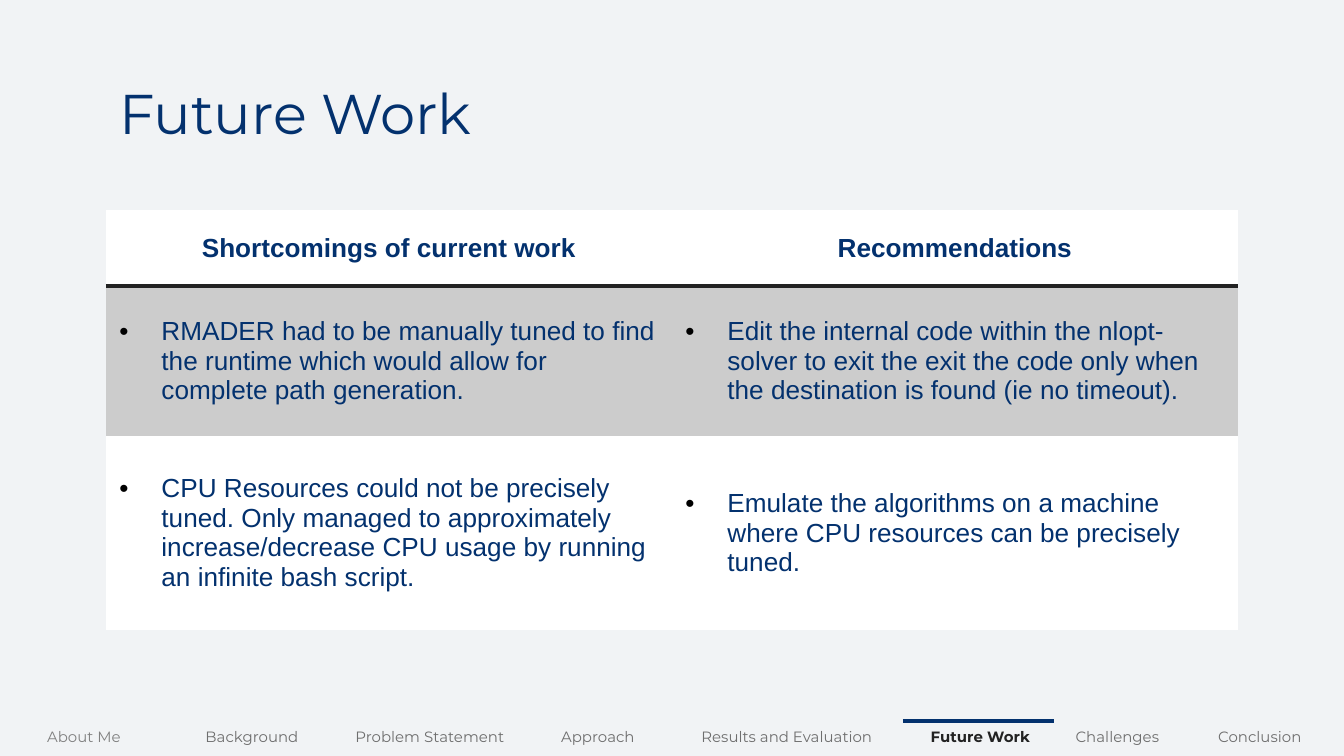
from dataclasses import dataclass
from lxml.etree import SubElement
from pptx import Presentation
from pptx.dml.color import RGBColor
from pptx.enum.shapes import MSO_CONNECTOR
from pptx.enum.text import MSO_ANCHOR, MSO_AUTO_SIZE, PP_ALIGN
from pptx.oxml.ns import qn
from pptx.slide import Slide
from pptx.table import Table, _Cell
from pptx.text.text import Font
from pptx.util import Emu, Pt

SCALE = 914400 / 134.4
PAPER = RGBColor(0xF1, 0xF3, 0xF5)
NAVY = RGBColor(0x03, 0x31, 0x6E)
WHITE = RGBColor(0xFF, 0xFF, 0xFF)
BAND = RGBColor(0xCC, 0xCC, 0xCC)
INK = RGBColor(0x22, 0x22, 0x22)
GRAY = RGBColor(0x6E, 0x6E, 0x6E)
PALE = RGBColor(0x80, 0x80, 0x80)
BLACK = RGBColor(0x00, 0x00, 0x00)
PLAIN = "{2D5ABB26-0587-4C30-8999-92F81FD0307C}"


@dataclass
class Tab:
    """One entry of the navigation bar."""
    text: str
    width: int
    color: RGBColor = GRAY
    bold: bool = False


@dataclass
class Row:
    """One row of the comparison table."""
    height: int
    fill: RGBColor
    texts: tuple[str, str]
    head: bool = False


TABS = [
    Tab("About Me", 168, PALE),
    Tab("Background", 168),
    Tab("Problem Statement", 188),
    Tab("Approach", 148),
    Tab("Results and Evaluation", 230),
    Tab("Future Work", 157, INK, True),
    Tab("Challenges", 117),
    Tab("Conclusion", 168),
]
ROWS = [
    Row(76, WHITE, ("Shortcomings of current work", "Recommendations"), True),
    Row(150, BAND, (
        "RMADER had to be manually tuned to find the runtime which would "
        "allow for complete path generation.",
        "Edit the internal code within the nlopt-solver to exit the exit the "
        "code only when the destination is found (ie no timeout).")),
    Row(194, WHITE, (
        "CPU Resources could not be precisely tuned. Only managed to "
        "approximately increase/decrease CPU usage by running an infinite "
        "bash script.",
        "Emulate the algorithms on a machine where CPU resources can be "
        "precisely tuned.")),
]


def px(size: int) -> Emu:
    """Turn pixels into EMU."""
    return Emu(round(size * SCALE))


def style(font: Font, name: str, size: int, color: RGBColor, bold: bool = False) -> None:
    """Set the look of a font."""
    font.name, font.size, font.bold = name, Pt(size), bold
    font.color.rgb = color


def grid(slide: Slide, left: int, top: int, cols: list[int], rows: list[int]) -> Table:
    """Add a table without borders or bands."""
    frame = slide.shapes.add_table(len(rows), len(cols), px(left), px(top),
                                   px(sum(cols)), px(sum(rows)))
    table = frame.table
    table.first_row = table.horz_banding = False
    next(frame.element.iter(qn("a:tableStyleId"))).text = PLAIN
    for col, width in zip(table.columns, cols):
        col.width = px(width)
    for row, height in zip(table.rows, rows):
        row.height = px(height)
    return table


def write(cell: _Cell, text: str, name: str, size: int, color: RGBColor, bold: bool) -> None:
    """Put centred text in a cell."""
    cell.text_frame.text = text
    para = cell.text_frame.paragraphs[0]
    para.alignment = PP_ALIGN.CENTER
    style(para.runs[0].font, name, size, color, bold)


def rule(cell: _Cell) -> None:
    """Draw the bottom border of a head cell."""
    line = SubElement(cell._tc.get_or_add_tcPr(), qn("a:lnB"), w=str(Pt(2)))
    fill = SubElement(line, qn("a:solidFill"))
    SubElement(fill, qn("a:srgbClr"), val=str(INK))


def bullet(cell: _Cell) -> None:
    """Turn the text of a cell into a left-aligned bullet."""
    para = cell.text_frame.paragraphs[0]
    para.alignment = PP_ALIGN.LEFT
    props = para._p.get_or_add_pPr()
    props.set("marL", str(px(42)))
    props.set("indent", str(px(-42)))
    tint = SubElement(props, qn("a:buClr"))
    SubElement(tint, qn("a:srgbClr"), val=str(BLACK))
    SubElement(props, qn("a:buFont"), typeface="Arial")
    SubElement(props, qn("a:buChar"), char="•")


def draw_nav(slide: Slide) -> None:
    """Draw the navigation bar and its marker."""
    table = grid(slide, 0, 721, [tab.width for tab in TABS], [35])
    for cell, tab in zip(table.rows[0].cells, TABS):
        write(cell, tab.text, "Montserrat", 8, tab.color, tab.bold)
    mark = slide.shapes.add_connector(MSO_CONNECTOR.STRAIGHT, px(903), px(721),
                                      px(1054), px(721))
    mark.line.color.rgb = NAVY
    mark.line.width = Pt(2.25)
    SubElement(mark.element.spPr, qn("a:effectLst"))


def draw_title(slide: Slide) -> None:
    """Place and fill the title."""
    title = slide.shapes.title
    title.left, title.top, title.width, title.height = map(px, (106, 66, 1133, 84))
    frame = title.text_frame
    frame.text = "Future Work"
    frame.word_wrap = True
    frame.auto_size = MSO_AUTO_SIZE.NONE
    frame.vertical_anchor = MSO_ANCHOR.TOP
    frame.margin_left = frame.margin_right = px(13)
    frame.margin_top = frame.margin_bottom = px(13)
    para = frame.paragraphs[0]
    para.alignment = PP_ALIGN.LEFT
    style(para.runs[0].font, "Montserrat", 30, NAVY)


def draw_table(slide: Slide) -> None:
    """Draw the comparison table."""
    table = grid(slide, 106, 210, [566, 566], [row.height for row in ROWS])
    for line, row in zip(table.rows, ROWS):
        for cell, text in zip(line.cells, row.texts):
            write(cell, text, "Arial", 14, NAVY, row.head)
            cell.vertical_anchor = MSO_ANCHOR.MIDDLE
            if row.head:
                rule(cell)
            else:
                bullet(cell)
            cell.fill.solid()
            cell.fill.fore_color.rgb = row.fill


def main() -> None:
    """Build the slide and save it."""
    deck = Presentation()
    deck.slide_width, deck.slide_height = px(1344), px(756)
    slide = deck.slides.add_slide(deck.slide_layouts[5])
    slide.background.fill.solid()
    slide.background.fill.fore_color.rgb = PAPER
    draw_nav(slide)
    draw_title(slide)
    draw_table(slide)
    deck.save("out.pptx")


if __name__ == "__main__":
    main()
